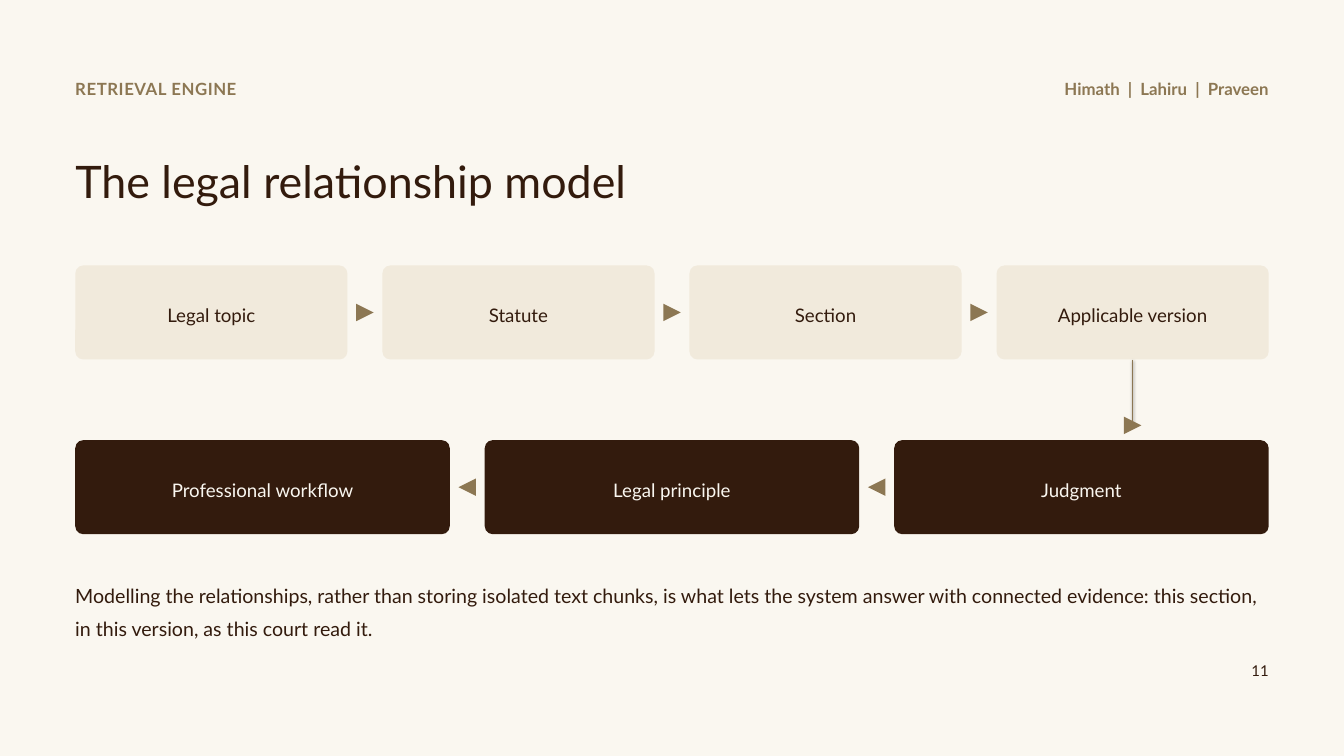
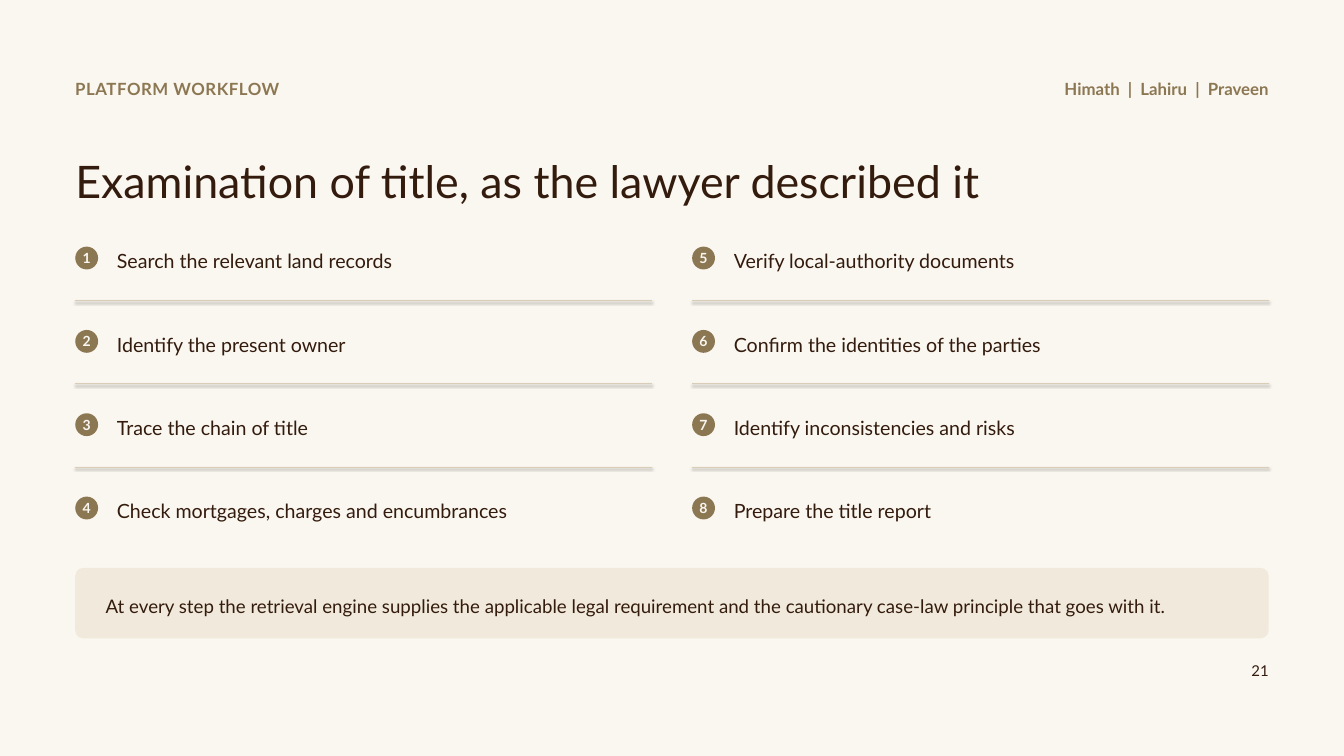
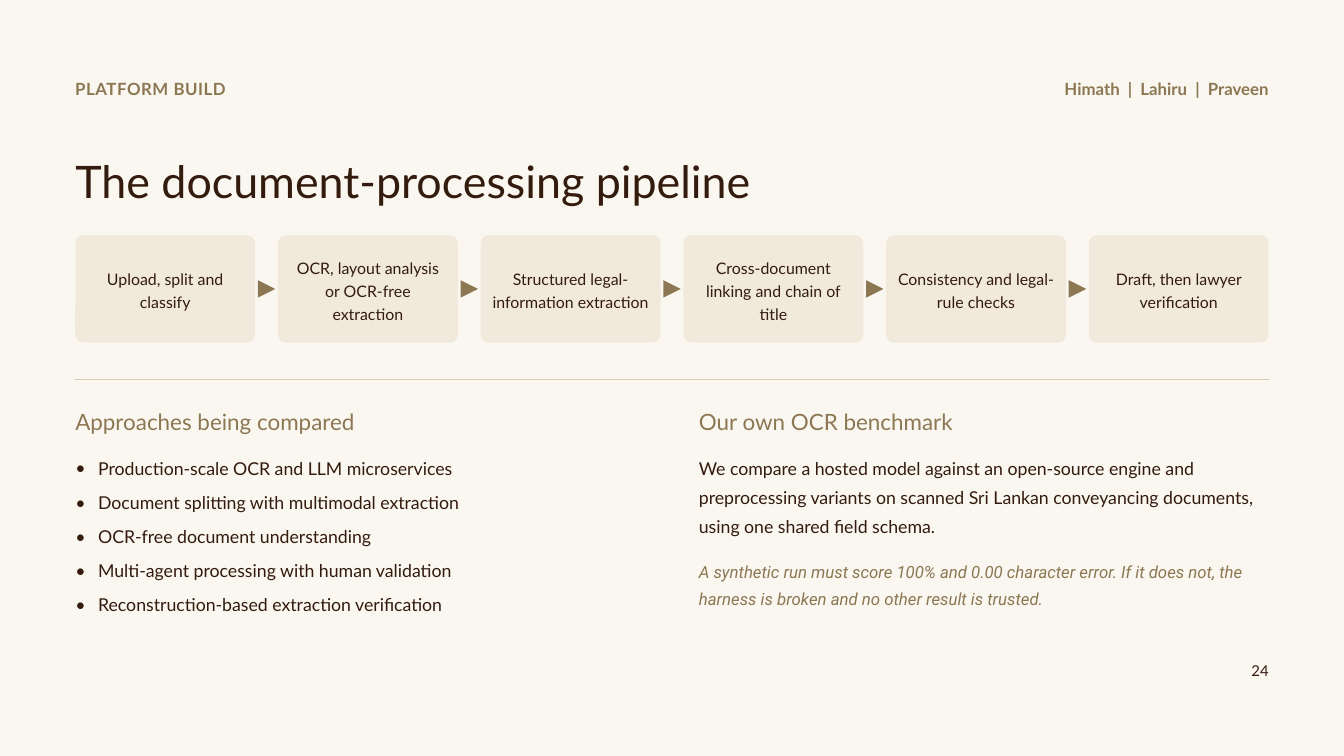
from collections.abc import Sequence
from dataclasses import dataclass, replace

from lxml import etree
from pptx import Presentation
from pptx.dml.color import RGBColor
from pptx.enum import shapes, text
from pptx.oxml import ns
from pptx.util import Pt

SLIDE_W, SLIDE_H = 1440, 810
MARGIN = 80.64
CONTENT_W = SLIDE_W - 2 * MARGIN
RIGHT = SLIDE_W - MARGIN

CREAM, SAND, RULE = "FAF7F0", "F1EADC", "D9CDB8"
BROWN, GOLD = "331B0D", "8C7753"

CORNER = 8.64
BOX_PADDING = 9
ARROW_SIZE = 18.72
BULLET_INDENT = 24.48

LEFT_ALIGN, CENTER, RIGHT_ALIGN = text.PP_ALIGN.LEFT, text.PP_ALIGN.CENTER, text.PP_ALIGN.RIGHT
TOP, MIDDLE = text.MSO_ANCHOR.TOP, text.MSO_ANCHOR.MIDDLE


@dataclass(frozen=True)
class Area:
    left: float
    top: float
    width: float
    height: float

    def lengths(self) -> tuple:
        return Pt(self.left), Pt(self.top), Pt(self.width), Pt(self.height)


@dataclass(frozen=True)
class Style:
    size: float
    spacing: float = 1.0
    color: str = BROWN
    align: text.PP_ALIGN = LEFT_ALIGN
    bold: bool = False
    italic: bool = False
    font: str = "Lato"
    tracking: float = 0
    bulleted: bool = False
    gap: float = 0


@dataclass(frozen=True)
class Chain:
    """A row of equal boxes with arrowheads in the gaps."""
    labels: Sequence[str]
    top: float
    height: float
    gap: float
    style: Style
    fill: str = SAND
    arrow_turn: int = 90


TITLE = Style(48, 1.14)
SECTION = Style(18, 1.05, GOLD, bold=True, tracking=0.6)
AUTHORS = Style(18, 1.05, GOLD, RIGHT_ALIGN, bold=True)
PAGE_NUMBER = Style(16, 1.05, align=RIGHT_ALIGN)
BOX_LABEL = Style(20, 1.22, align=CENTER)
BADGE = Style(15, color=CREAM, align=CENTER, bold=True)
HEADING = Style(24, 1.2, GOLD)


def rgb(color: str) -> RGBColor:
    return RGBColor.from_string(color)


def add_bullet(paragraph) -> None:
    properties = paragraph._p.get_or_add_pPr()
    properties.set("marL", str(Pt(BULLET_INDENT)))
    properties.set("indent", str(-Pt(BULLET_INDENT)))
    etree.SubElement(properties, ns.qn("a:buFont"), typeface="Lato")
    etree.SubElement(properties, ns.qn("a:buChar"), char="•")


def write(shape, lines: Sequence[str], style: Style, anchor=TOP, padding: float = 0) -> None:
    frame = shape.text_frame
    frame.word_wrap = True
    frame.auto_size = text.MSO_AUTO_SIZE.NONE
    frame.vertical_anchor = anchor
    frame.margin_left = frame.margin_right = Pt(padding)
    frame.margin_top = frame.margin_bottom = 0
    for index, line in enumerate(lines):
        paragraph = frame.paragraphs[0] if index == 0 else frame.add_paragraph()
        paragraph.text = line
        if style.bulleted:
            add_bullet(paragraph)
        paragraph.alignment = style.align
        paragraph.line_spacing = style.spacing
        paragraph.space_before = Pt(style.gap if index else 0)
        font = paragraph.font
        font.name, font.size = style.font, Pt(style.size)
        font.bold, font.italic = style.bold, style.italic
        font.color.rgb = rgb(style.color)
        if style.tracking:
            defaults = paragraph._p.pPr.find(ns.qn("a:defRPr"))
            defaults.set("spc", str(round(style.tracking * 100)))


def place(placeholder, area: Area) -> None:
    (placeholder.left, placeholder.top,
     placeholder.width, placeholder.height) = area.lengths()


def add_text(slide, line: str, area: Area, style: Style) -> None:
    write(slide.shapes.add_textbox(*area.lengths()), [line], style)


def add_solid(slide, preset: shapes.MSO_SHAPE, area: Area, fill: str):
    """Add a flat preset shape without outline or shadow."""
    solid = slide.shapes.add_shape(preset, *area.lengths())
    solid.shadow.inherit = False
    solid.fill.solid()
    solid.fill.fore_color.rgb = rgb(fill)
    solid.line.fill.background()
    return solid


def add_box(slide, label: str, area: Area, style: Style,
            fill: str = SAND, padding: float = BOX_PADDING) -> None:
    box = add_solid(slide, shapes.MSO_SHAPE.ROUNDED_RECTANGLE, area, fill)
    box.adjustments[0] = CORNER / area.height
    write(box, [label], style, MIDDLE, padding)


def add_arrowhead(slide, center_x: float, center_y: float, turn: int) -> None:
    half = ARROW_SIZE / 2
    area = Area(center_x - half, center_y - half, ARROW_SIZE, ARROW_SIZE)
    arrowhead = add_solid(slide, shapes.MSO_SHAPE.ISOSCELES_TRIANGLE, area, GOLD)
    arrowhead.rotation = turn


def add_line(slide, start: tuple[float, float], end: tuple[float, float],
             color: str = RULE, weight: float = 1) -> None:
    """Add a straight line that keeps the theme's soft shadow."""
    line = slide.shapes.add_connector(
        shapes.MSO_CONNECTOR.STRAIGHT, *(Pt(value) for value in (*start, *end)))
    line.line.color.rgb = rgb(color)
    line.line.width = Pt(weight)


def add_chain(slide, chain: Chain) -> float:
    """Draw the chain and return the horizontal centre of its last box."""
    count = len(chain.labels)
    width = (CONTENT_W - (count - 1) * chain.gap) / count
    for index, label in enumerate(chain.labels):
        left = MARGIN + index * (width + chain.gap)
        add_box(slide, label, Area(left, chain.top, width, chain.height),
                chain.style, chain.fill)
        if index:
            add_arrowhead(slide, left - chain.gap / 2,
                          chain.top + chain.height / 2, chain.arrow_turn)
    return RIGHT - width / 2


def start_slide(prs, layout: str, section: str, title: str, page: int):
    slide = prs.slides.add_slide(prs.slide_layouts.get_by_name(layout))
    place(slide.shapes.title, Area(MARGIN, 157, 1116, 59))
    write(slide.shapes.title, [title], TITLE)
    add_text(slide, section, Area(MARGIN, 83.5, 648, 23), SECTION)
    add_text(slide, "Himath  |  Lahiru  |  Praveen", Area(RIGHT - 360, 83.5, 360, 23), AUTHORS)
    add_text(slide, str(page), Area(RIGHT - 360, 707.75, 360, 21), PAGE_NUMBER)
    return slide


def build_relationship_model(prs) -> None:
    slide = start_slide(prs, "Title Only", "RETRIEVAL ENGINE",
                        "The legal relationship model", 11)
    sources = Chain(["Legal topic", "Statute", "Section", "Applicable version"],
                    284.4, 100.8, 37.44, BOX_LABEL)
    outcomes = Chain(["Professional workflow", "Legal principle", "Judgment"],
                     471.6, 100.8, 37.44, replace(BOX_LABEL, color=CREAM), BROWN, 270)
    version_x = add_chain(slide, sources)
    add_line(slide, (version_x, sources.top + sources.height), (version_x, 453.6), GOLD, 1.5)
    add_arrowhead(slide, version_x, 455.75, 90)
    add_chain(slide, outcomes)
    add_text(slide,
             "Modelling the relationships, rather than storing isolated text chunks, is what lets "
             "the system answer with connected evidence: this section, in this version, as this "
             "court read it.",
             Area(MARGIN, 615.6, CONTENT_W, 63), Style(21, 1.4))


def build_title_examination(prs) -> None:
    slide = start_slide(prs, "Title Only", "PLATFORM WORKFLOW",
                        "Examination of title, as the lawyer described it", 21)
    steps = [
        "Search the relevant land records",
        "Identify the present owner",
        "Trace the chain of title",
        "Check mortgages, charges and encumbrances",
        "Verify local-authority documents",
        "Confirm the identities of the parties",
        "Identify inconsistencies and risks",
        "Prepare the title report",
    ]
    rows, row_pitch, column_gap = 4, 89.28, 43.2
    column_w = (CONTENT_W - column_gap) / 2
    badge_size, text_offset = 24.48, 44.64
    for index, step in enumerate(steps):
        column, row = divmod(index, rows)
        left = MARGIN + column * (column_w + column_gap)
        top = 260 + row * row_pitch
        badge = add_solid(slide, shapes.MSO_SHAPE.OVAL,
                          Area(left, top + 4.25, badge_size, badge_size), GOLD)
        write(badge, [str(index + 1)], BADGE, MIDDLE)
        add_text(slide, step, Area(left + text_offset, top, column_w - text_offset, 31),
                 Style(21, 1.28))
        if row < rows - 1:
            add_line(slide, (left, top + 61.85), (left + column_w, top + 61.85))
    add_box(slide,
            "At every step the retrieval engine supplies the applicable legal requirement and "
            "the cautionary case-law principle that goes with it.",
            Area(MARGIN, 608.4, CONTENT_W, 75.6), Style(20, 1.3), padding=30)


def build_document_pipeline(prs) -> None:
    slide = start_slide(prs, "Title and Content", "PLATFORM BUILD",
                        "The document-processing pipeline", 24)
    stages = [
        "Upload, split and classify",
        "OCR, layout analysis or OCR-free extraction",
        "Structured legal-information extraction",
        "Cross-document linking and chain of title",
        "Consistency and legal-rule checks",
        "Draft, then lawyer verification",
    ]
    add_chain(slide, Chain(stages, 252, 115.2, 24.48, replace(BOX_LABEL, size=17)))
    add_line(slide, (MARGIN, 406.8), (RIGHT, 406.8))

    column_w = (CONTENT_W - 57.6) / 2
    benchmark_x = RIGHT - column_w
    add_text(slide, "Approaches being compared", Area(MARGIN, 432, column_w, 33), HEADING)
    approaches = slide.placeholders[1]
    place(approaches, Area(MARGIN, 482.4, column_w, 155.5))
    write(approaches, [
        "Production-scale OCR and LLM microservices",
        "Document splitting with multimodal extraction",
        "OCR-free document understanding",
        "Multi-agent processing with human validation",
        "Reconstruction-based extraction verification",
    ], Style(19, 1.34, bulleted=True, gap=6))

    add_text(slide, "Our own OCR benchmark", Area(benchmark_x, 432, column_w, 33), HEADING)
    add_text(slide,
             "We compare a hosted model against an open-source engine and preprocessing variants "
             "on scanned Sri Lankan conveyancing documents, using one shared field schema.",
             Area(benchmark_x, 482.4, column_w, 82), Style(19, 1.36))
    add_text(slide,
             "A synthetic run must score 100% and 0.00 character error. If it does not, the "
             "harness is broken and no other result is trusted.",
             Area(benchmark_x, 594, column_w, 52.5),
             Style(18, 1.34, GOLD, italic=True, font="Roboto"))


def main() -> None:
    prs = Presentation()
    prs.slide_width, prs.slide_height = Pt(SLIDE_W), Pt(SLIDE_H)
    backdrop = prs.slide_master.background.fill
    backdrop.solid()
    backdrop.fore_color.rgb = rgb(CREAM)
    build_relationship_model(prs)
    build_title_examination(prs)
    build_document_pipeline(prs)
    prs.save("out.pptx")


if __name__ == "__main__":
    main()
